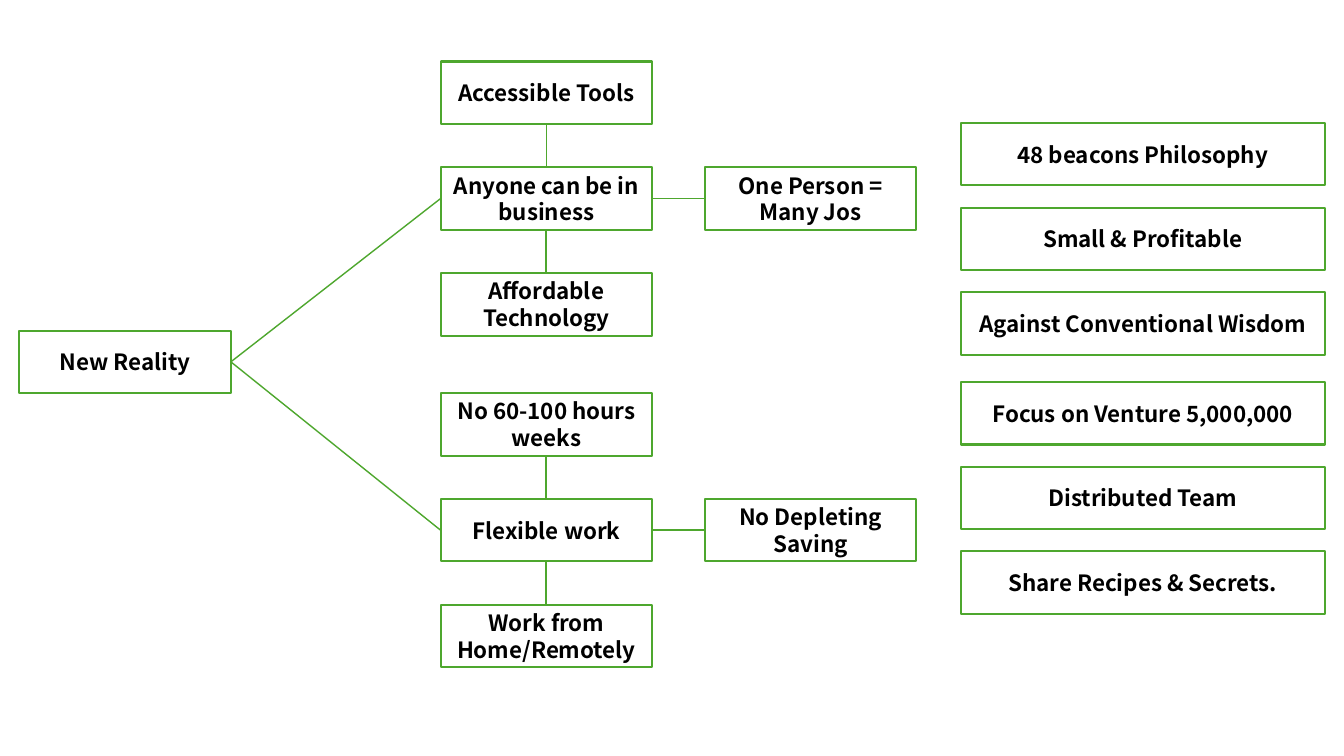
from lxml import etree
from pptx import Presentation
from pptx.dml.color import RGBColor
from pptx.enum.shapes import MSO_CONNECTOR as Connector, MSO_SHAPE as Shape
from pptx.enum.text import MSO_ANCHOR as Anchor, PP_ALIGN as Align
from pptx.oxml.ns import qn
from pptx.util import Inches, Pt

# Content: each branch has a stack of three boxes, a side box beside the
# middle one, and line weights for its upper, lower and side links
ROOT = "New Reality"
BRANCHES = [
    {"top": 0.61,
     "stack": ["Accessible Tools", "Anyone can be in business", "Affordable Technology"],
     "side": "One Person = Many Jos",
     "weights": (1, 1.5, 1)},
    {"top": 3.9,
     "stack": ["No 60-100 hours weeks", "Flexible work", "Work from Home/Remotely"],
     "side": "No Depleting Saving",
     "weights": (1.5, 1.5, 1.5)},
]
PRINCIPLES = [
    (1.22, ["48 beacons Philosophy", "Small & Profitable", "Against Conventional Wisdom"]),
    (3.79, ["Focus on Venture 5,000,000", "Distributed Team", "Share Recipes & Secrets."]),
]

# Theme and layout
THEME = {
    "line": RGBColor(0x4E, 0xA7, 0x2E),
    "fill": RGBColor(0xFF, 0xFF, 0xFF),
    "border": Pt(1.5),
    "root_link": 1,
    "font": {"name": "Noto Sans CJK KR", "size": Pt(16), "bold": True},
    "text": RGBColor(0, 0, 0),
}
FRAME = {"word_wrap": True, "vertical_anchor": Anchor.MIDDLE}
COLUMNS = {"root": 0.19, "stack": 4.37, "side": 6.99, "principle": 9.53}
ROOT_TOP = 3.28
NODE_WIDTH, PRINCIPLE_WIDTH, BOX_HEIGHT = 2.1, 3.61, 0.62
STACK_PITCH, PRINCIPLE_PITCH = 1.05, 0.84
TOP, LEFT, BOTTOM, RIGHT = range(4)  # connection sites of a rectangle


def set_all(target, values):
    for name, value in values.items():
        setattr(target, name, value)


def add_box(page, text, column, top, width=NODE_WIDTH):
    box = page.shapes.add_shape(Shape.RECTANGLE, Inches(COLUMNS[column]),
                                Inches(top), Inches(width), Inches(BOX_HEIGHT))
    box.shadow.inherit = False
    box.fill.solid()
    box.fill.fore_color.rgb = THEME["fill"]
    box.line.color.rgb = THEME["line"]
    box.line.width = THEME["border"]
    set_all(box.text_frame, FRAME)
    para = box.text_frame.paragraphs[0]
    para.alignment = Align.CENTER
    span = para.add_run()
    span.text = text
    set_all(span.font, THEME["font"])
    span.font.color.rgb = THEME["text"]
    return box


def add_link(page, start, start_site, end, end_site, weight):
    link = page.shapes.add_connector(Connector.STRAIGHT, 0, 0, 0, 0)
    link.begin_connect(start, start_site)
    link.end_connect(end, end_site)
    link.line.color.rgb = THEME["line"]
    link.line.width = Pt(weight)
    etree.SubElement(link._element.spPr, qn("a:effectLst"))


def add_branch(page, root, branch):
    upper, middle, lower = [
        add_box(page, text, "stack", branch["top"] + row * STACK_PITCH)
        for row, text in enumerate(branch["stack"])]
    side = add_box(page, branch["side"], "side", branch["top"] + STACK_PITCH)
    links = [(middle, TOP, upper, BOTTOM), (middle, BOTTOM, lower, TOP),
             (middle, RIGHT, side, LEFT)]
    add_link(page, middle, LEFT, root, RIGHT, THEME["root_link"])
    for ends, weight in zip(links, branch["weights"]):
        add_link(page, *ends, weight)


def main():
    deck = Presentation()
    deck.slide_width, deck.slide_height = Inches(13.33), Inches(7.5)
    page = deck.slides.add_slide(deck.slide_layouts[6])

    # Mind map
    root = add_box(page, ROOT, "root", ROOT_TOP)
    for branch in BRANCHES:
        add_branch(page, root, branch)

    # Principles on the right
    for top, texts in PRINCIPLES:
        for row, text in enumerate(texts):
            add_box(page, text, "principle", top + row * PRINCIPLE_PITCH, PRINCIPLE_WIDTH)

    deck.save("out.pptx")


if __name__ == "__main__":
    main()
